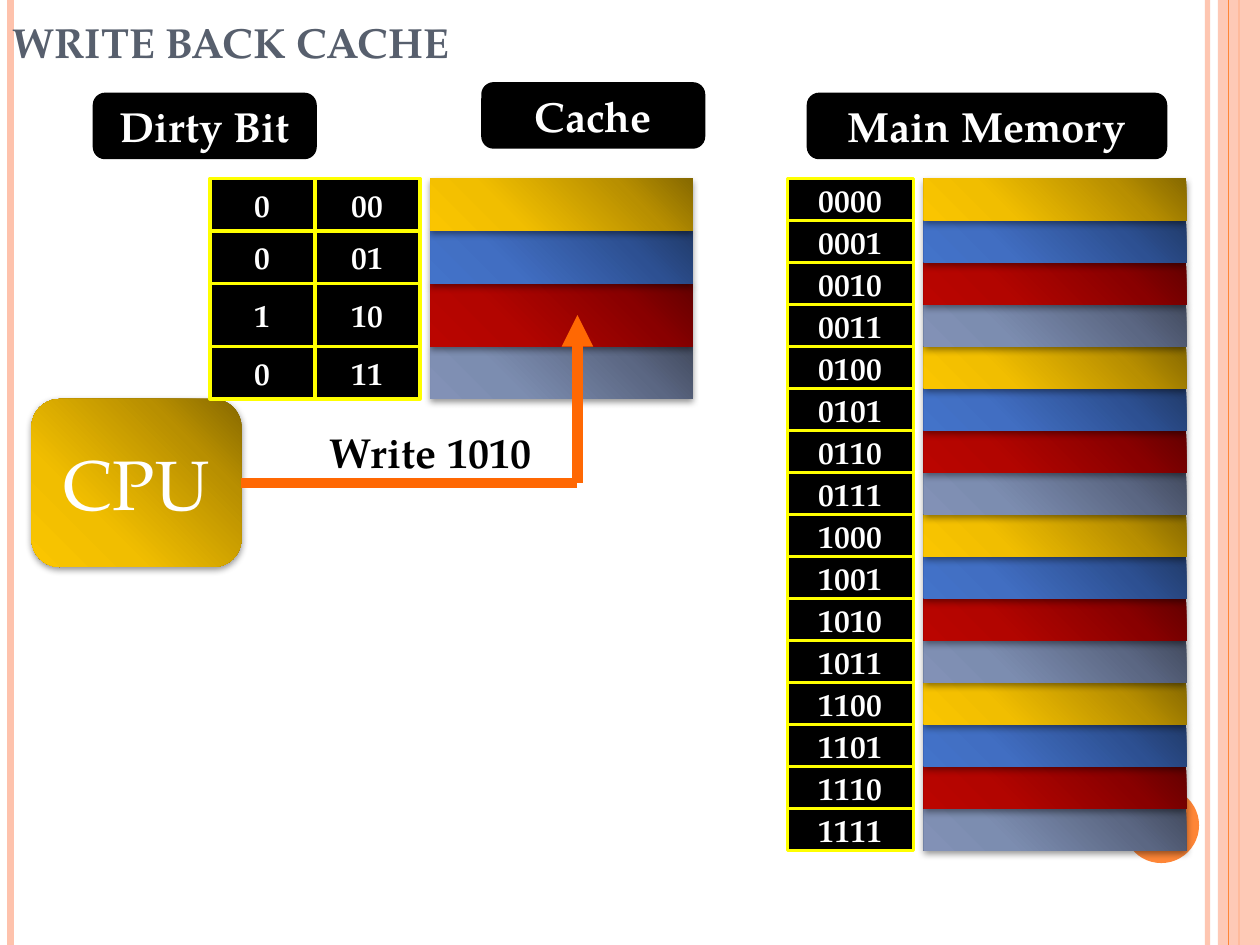
from lxml import etree
from pptx import Presentation
from pptx import util as u
from pptx.dml.color import RGBColor
from pptx.enum import shapes, text
from pptx.oxml import parse_xml
from pptx.oxml.ns import nsdecls, qn

STEP = 2.54 / 12  # every position is counted in twelfths of an inch
FONT = "TeX Gyre Pagella"
WHITE = RGBColor(0xFF, 0xFF, 0xFF)
BLACK = RGBColor(0x00, 0x00, 0x00)
YELLOW = RGBColor(0xFF, 0xFF, 0x00)
SLATE = RGBColor(0x57, 0x5F, 0x6D)
PEACH = RGBColor(0xFE, 0xC2, 0xAC)
ORANGE = RGBColor(0xFE, 0x86, 0x37)
ARROW = RGBColor(0xFF, 0x68, 0x03)

STOPS = (0, 30, 75, 100)
GOLD = [RGBColor.from_string(c) for c in ("FAC500", "F1BE00", "B88F00", "866900")]
BLUE = [RGBColor.from_string(c) for c in ("4373C9", "416EC2", "2D5092", "213B6A")]
RED = [RGBColor.from_string(c) for c in ("BA0500", "B20500", "890000", "630000")]
GREY = [RGBColor.from_string(c) for c in ("8291B6", "7C8DB0", "5B6783", "434B5F")]
BLOCKS = [GOLD, BLUE, RED, GREY]

RECT = shapes.MSO_SHAPE.RECTANGLE
ROUNDED = shapes.MSO_SHAPE.ROUNDED_RECTANGLE
LABEL = {"size": u.Pt(24), "bold": True, "name": FONT}
CELL = {"size": u.Pt(18), "bold": True, "name": FONT}
CPU = {"size": u.Pt(40), "bold": False, "name": FONT}


def add_box(parent, kind, box, fill=None, line=None, words="", style=LABEL, ink=WHITE):
    """Add a shape placed in steps; a list as fill is a shaded block with a shadow."""
    shape = parent.add_shape(kind, *(u.Cm(n * STEP) for n in box))
    shape.shadow.inherit = False
    if isinstance(fill, list):
        stops = "".join(f'<a:gs pos="{pos * 1000}"><a:srgbClr val="{c}"/></a:gs>'
                        for pos, c in zip(STOPS, fill))
        props = shape._element.spPr
        props.find(qn("a:prstGeom")).addnext(parse_xml(
            f'<a:gradFill {nsdecls("a")} rotWithShape="1"><a:gsLst>{stops}</a:gsLst>'
            '<a:path path="circle"><a:fillToRect t="100000" r="100000"/></a:path></a:gradFill>'))
        props.find(qn("a:effectLst")).append(parse_xml(
            f'<a:outerShdw {nsdecls("a")} blurRad="{u.Pt(4)}" dist="{u.Pt(1.6)}" dir="5400000" '
            'rotWithShape="0"><a:srgbClr val="000000"><a:alpha val="42000"/></a:srgbClr></a:outerShdw>'))
    elif fill is None:
        shape.fill.background()
    else:
        shape.fill.solid()
        shape.fill.fore_color.rgb = fill
    if line is None:
        shape.line.fill.background()
    else:
        shape.line.color.rgb = line
        shape.line.width = u.Pt(2)
    if words:
        shape.text_frame.word_wrap = True
        shape.text_frame.vertical_anchor = text.MSO_ANCHOR.MIDDLE
        para = shape.text_frame.paragraphs[0]
        para.text = words
        para.alignment = text.PP_ALIGN.CENTER
        for key, value in style.items():
            setattr(para.font, key, value)
        para.font.color.rgb = ink
    return shape


def add_line(parent, ends, color, width):
    line = parent.add_connector(shapes.MSO_CONNECTOR.STRAIGHT, *(u.Cm(n * STEP) for n in ends))
    line.line.color.rgb = color
    line.line.width = u.Pt(width)
    etree.SubElement(line._element.spPr, qn("a:effectLst"))
    return line


prs = Presentation()
prs.slide_width, prs.slide_height = u.Cm(25.4), u.Cm(19.05)
slide = prs.slides.add_slide(prs.slide_layouts[6])
canvas = slide.shapes

# Side stripes and the round badge
inner_stripe = add_line(canvas, (115, 0, 115, 90), PEACH, 3)
add_line(canvas, (1, 0, 1, 90), PEACH, 4.5)
add_line(canvas, (118, 0, 118, 90), ORANGE, 1.5)
margin_band = add_box(canvas, RECT, (116, 0, 4, 90), PEACH)
add_line(canvas, (117, 0, 117, 90), ORANGE, 0.75)
add_box(canvas, shapes.MSO_SHAPE.OVAL, (107, 75, 7.2, 7.2), ORANGE)
for stripe, opacity in ((inner_stripe, 93), (margin_band, 87)):
    color = next(stripe._element.spPr.iter(qn("a:srgbClr")))
    etree.SubElement(color, qn("a:alpha"), val=str(opacity * 1000))

title = canvas.add_textbox(0, 0, u.Cm(25.4), u.Cm(7 * STEP)).text_frame
title.word_wrap = True
title.vertical_anchor = text.MSO_ANCHOR.BOTTOM
heading = title.paragraphs[0]
heading.text = "WRITE BACK CACHE"
for key, value in LABEL.items():
    setattr(heading.font, key, value)
heading.font.color.rgb = SLATE

# CPU goes under the dirty-bit column, whose corner it touches
cpu = add_box(canvas, ROUNDED, (3, 38, 20, 16), GOLD, words="CPU", style=CPU)

# Columns of shaded blocks and of labelled cells: left, width, row heights, entries
cache_rows, memory_rows = [5, 5, 6, 5], [4] * 16
columns = [
    (41, 25, cache_rows, BLOCKS),
    (88, 25, memory_rows, BLOCKS * 4),
    (30, 10, cache_rows, [f"{i:02b}" for i in range(4)]),
    (75, 12, memory_rows, [f"{i:04b}" for i in range(16)]),
    (20, 10, cache_rows, ["0", "0", "1", "0"]),
]
for left, width, rows, entries in columns:
    column = canvas.add_group_shape().shapes
    # Bottom row first, so that each block casts its shadow on the next
    for i in reversed(range(len(rows))):
        box = (left, 17 + sum(rows[:i]), width, rows[i])
        if isinstance(entries[i], list):
            add_box(column, RECT, box, entries[i])
        else:
            add_box(column, RECT, box, BLACK, YELLOW, entries[i], CELL)

for words, box in (("Cache", (46, 8, 21, 6)),
                   ("Main Memory", (77, 9, 34, 6)),
                   ("Dirty Bit", (9, 9, 21, 6))):
    add_box(canvas, ROUNDED, box, BLACK, BLACK, words)

# Write path from the CPU into the cache
write_out = add_line(canvas, (23, 46, 55, 46), ARROW, 6)
write_out.begin_connect(cpu, 3)
write_in = add_line(canvas, (55, 46, 55, 30), ARROW, 6)
etree.SubElement(write_in.line._get_or_add_ln(), qn("a:tailEnd"), type="triangle")
add_box(canvas, ROUNDED, (29, 40, 24, 6), words="Write 1010", ink=BLACK)

prs.save("out.pptx")
